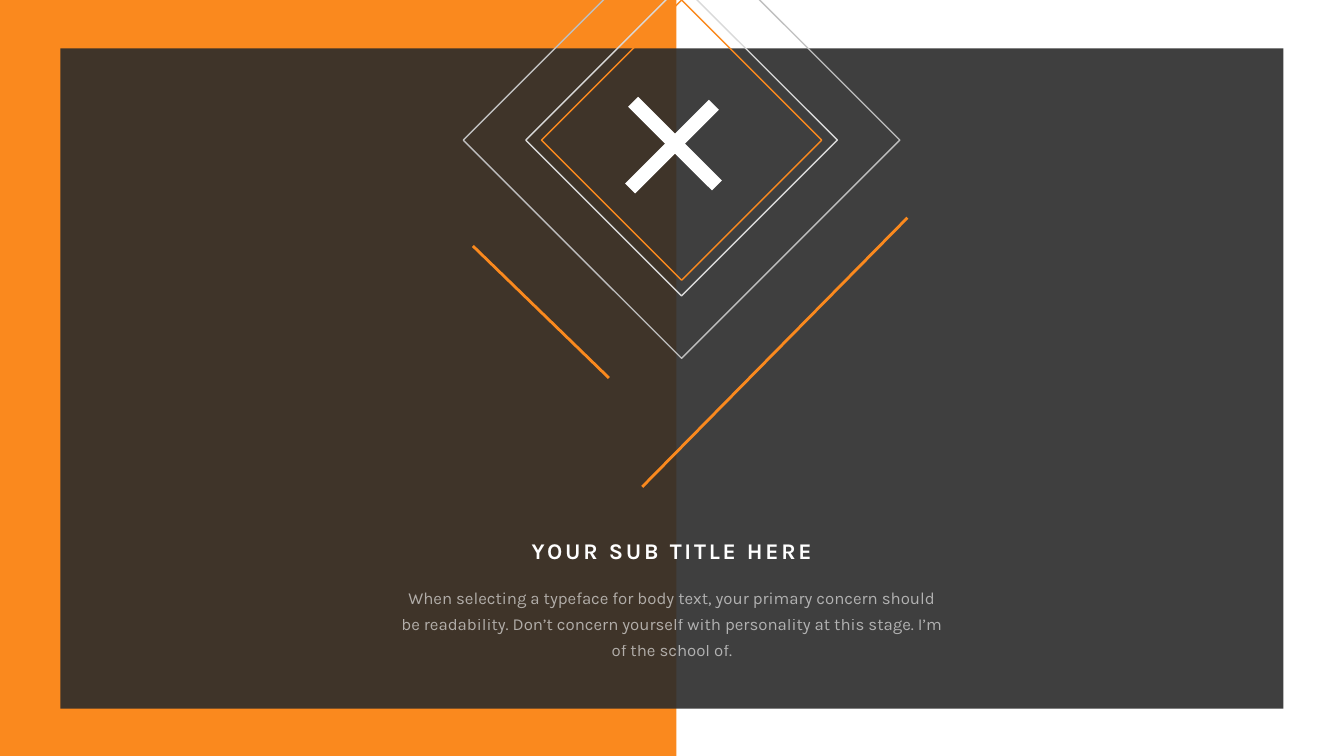
from lxml.etree import SubElement
from pptx import Presentation
from pptx.dml.color import RGBColor
from pptx.enum.shapes import MSO_CONNECTOR as Link, MSO_SHAPE as Kind
from pptx.enum.text import MSO_ANCHOR as Anchor, MSO_AUTO_SIZE as Fit, PP_ALIGN as Align
from pptx.oxml.ns import qn
from pptx.util import Inches, Pt

ORANGE = RGBColor(0xFA, 0x89, 0x1E)
WHITE = RGBColor(0xFF, 0xFF, 0xFF)
DARK = RGBColor(0x2B, 0x2B, 0x2B)
LIGHT = RGBColor(0xD9, 0xD9, 0xD9)
GREY = RGBColor(0xBF, 0xBF, 0xBF)
FONT = "Karla"


def fade(fill, share):
    """Set the opacity of a solid fill element, in percent."""
    SubElement(fill[0], qn("a:alpha"), val=str(share * 1000))


def draw(slide, kind, box, fill=None, line=None):
    """Add a flat shape with an optional fill and outline."""
    shape = slide.shapes.add_shape(kind, *map(Inches, box))
    shape.shadow.inherit = False
    if fill is None:
        shape.fill.background()
    else:
        shape.fill.solid()
        shape.fill.fore_color.rgb = fill
    if line is None:
        shape.line.fill.background()
    else:
        shape.line.color.rgb = line
        shape.line.width = Pt(1)
    return shape


def stroke(shapes, ends, color, width):
    """Add a straight line between two points."""
    line = shapes.add_connector(Link.STRAIGHT, *map(Inches, ends))
    line.line.color.rgb = color
    line.line.width = Pt(width)
    SubElement(line.element.spPr, qn("a:effectLst"))


def ground(slide, width, height):
    """Place the orange half and the dark panel over it."""
    draw(slide, Kind.RECTANGLE, (0, 0, 6.71, height), ORANGE)
    side, top = 0.6, 0.48
    panel = draw(slide, Kind.RECTANGLE,
                 (side, top, width - 2 * side, height - 2 * top + 0.01), DARK)
    fade(panel.element.spPr.find(qn("a:solidFill")), 90)


def cross(slide, left, top, size):
    """Place the thick white cross."""
    group = slide.shapes.add_group_shape()
    right, low = left + size, top + size
    stroke(group.shapes, (right, top + 0.03, left, low + 0.03), WHITE, 10)
    stroke(group.shapes, (right + 0.03, low, left + 0.03, top), WHITE, 10)


def frame(slide, x, y):
    """Place the slanted lines and the diamonds centred on a point."""
    stroke(slide.shapes, (x - 2.07, y + 1.05, x - 0.72, y + 2.36), ORANGE, 2)
    stroke(slide.shapes, (x + 2.24, y + 0.77, x - 0.39, y + 3.44), ORANGE, 2)
    for size, color in ((2.78, ORANGE), (3.09, LIGHT), (4.33, GREY)):
        draw(slide, Kind.DIAMOND, (x - size / 2, y - size / 2, size, size), line=color)


def write(slide, holder, box, text, size, gap, fit):
    """Move a placeholder to a box in front and fill it with centred text."""
    holder.left, holder.top, holder.width, holder.height = map(Inches, box)
    slide.shapes.element.append(holder.element)
    frame = holder.text_frame
    frame.text = text
    frame.word_wrap = True
    frame.auto_size = fit
    frame.vertical_anchor = Anchor.TOP
    para = frame.paragraphs[0]
    props = para._p.get_or_add_pPr()
    props.set("marL", "0")
    props.set("indent", "0")
    SubElement(props, qn("a:buNone"))
    para.alignment = Align.CENTER
    para.line_spacing = gap
    para.space_before = Pt(0)
    para.font.name = FONT
    para.font.size = Pt(size)
    para.font.color.rgb = WHITE
    return para


def words(slide, left, top, width):
    """Place the heading with the body text under it."""
    title, body = slide.placeholders
    text = ("When selecting a typeface for body text, your primary concern should be "
            "readability. Don’t concern yourself with personality at this stage. "
            "I’m of the school of.")
    para = write(slide, body, (left, top + 0.41, width, 0.89), text, 12, 1.3,
                 Fit.SHAPE_TO_FIT_TEXT)
    fade(para.font._element.find(qn("a:solidFill")), 60)
    para = write(slide, title, (left, top, width, 0.41), "YOUR SUB TITLE HERE", 16, 0.9,
                 Fit.NONE)
    para.font.bold = True
    para.runs[0].font._element.set("spc", "200")


def main():
    """Build the slide and save it."""
    deck = Presentation()
    width, height = 13.33, 7.5
    deck.slide_width, deck.slide_height = Inches(width), Inches(height)
    slide = deck.slides.add_slide(deck.slide_layouts[1])
    ground(slide, width, height)
    cross(slide, 6.25, 1.01, 0.83)
    frame(slide, 6.76, 1.39)
    words(slide, 3.86, 5.31, 5.61)
    deck.save("out.pptx")


if __name__ == "__main__":
    main()
